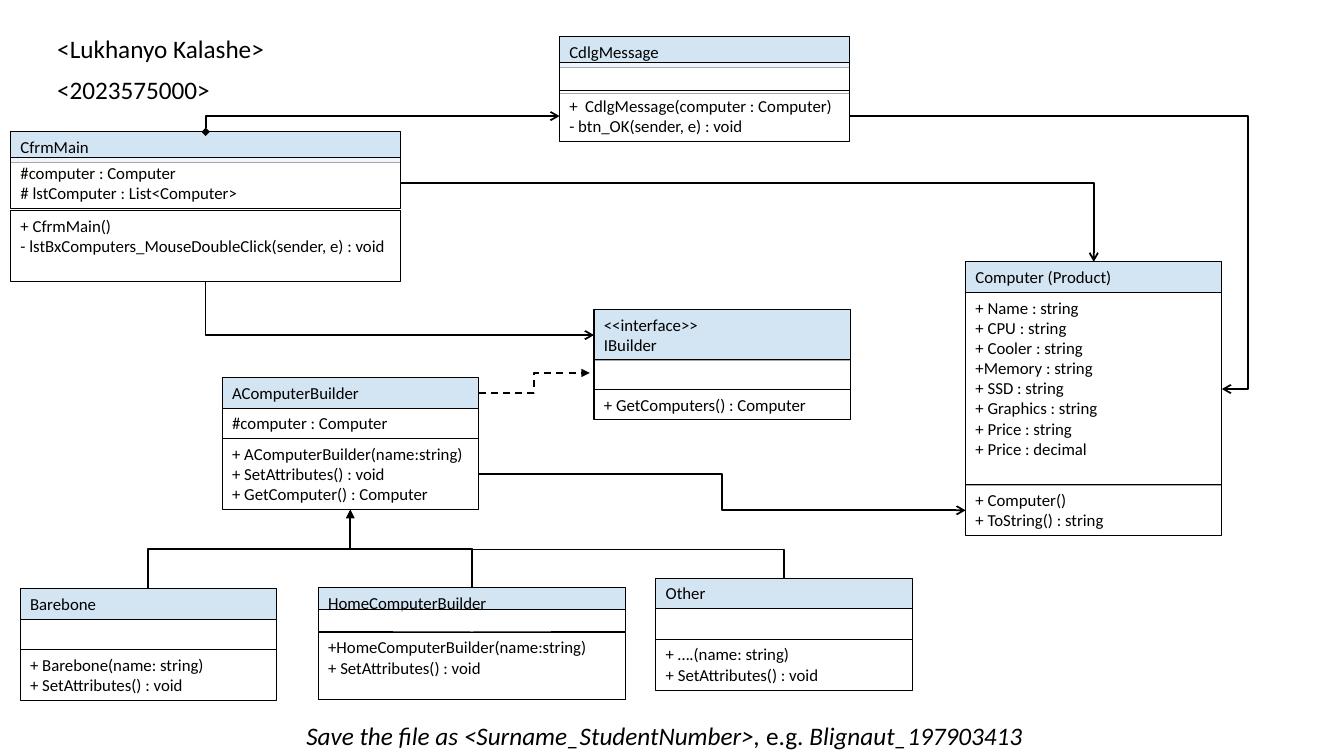
import collections

import pptx
import pptx.util
import pptx.dml.color
import pptx.enum.dml
import pptx.enum.shapes
import pptx.enum.text
import pptx.oxml.ns
from lxml import etree

Pt = pptx.util.Pt
qn = pptx.oxml.ns.qn

COLORS = {"ink": "000000", "title": "BDD7EE", "body": "FFFFFF"}
FONT = "Calibri"
ROW1, ROW2, ROW3, ROW9 = 21.8, 36.3, 50.9, 138.2  # box heights by number of text rows

Box = collections.namedtuple("Box", "l t r b cx")


def rgb(name):
    return pptx.dml.color.RGBColor.from_string(COLORS[name])


def write(p, text, size=12, italic=False, color="ink"):
    p.alignment = pptx.enum.text.PP_ALIGN.LEFT
    r = p.add_run()
    r.text = text
    r.font.name = FONT
    r.font.size = Pt(size)
    r.font.italic = italic
    r.font.color.rgb = rgb(color)


def label(s, x, y, w, runs):
    """One line of large text; runs holds (text, italic) pairs."""
    tf = s.shapes.add_textbox(Pt(x), Pt(y), Pt(w), Pt(29.1)).text_frame
    tf.word_wrap = False
    for text, italic in runs:
        write(tf.paragraphs[0], text, size=18, italic=italic)


def compartment(group, x, y, w, h, lines, fill):
    sp = group.shapes.add_shape(pptx.enum.shapes.MSO_SHAPE.RECTANGLE, Pt(x), Pt(y), Pt(w), Pt(h))
    sp.shadow.inherit = False
    sp.fill.solid()
    sp.fill.fore_color.rgb = rgb(fill)
    srgb = sp.fill._xPr.find(".//" + qn("a:srgbClr"))
    etree.SubElement(srgb, qn("a:alpha")).set("val", "66000")
    sp.line.color.rgb = rgb("ink")
    sp.line.width = Pt(0.75)
    tf = sp.text_frame
    tf.word_wrap = True
    tf.vertical_anchor = pptx.enum.text.MSO_ANCHOR.TOP
    for i, line in enumerate(lines):
        write(tf.add_paragraph() if i else tf.paragraphs[0], line)


def uml_class(s, x, y, w, parts):
    """Class box; parts holds (top offset, height, lines) for name, attributes, methods."""
    group = s.shapes.add_group_shape()
    for i, (dy, h, lines) in enumerate(parts):
        compartment(group, x, y + dy, w, h, lines, "body" if i else "title")
    dy, h, _ = parts[-1]
    return Box(x, y, x + w, y + dy + h, x + w / 2)


def elbow(s, start, end, tail="arrow", head=None, vertical=False, bends=2, mid=0.5, dash=False):
    """Bent connector; a vertical one leaves its start up or down, by a quarter turn."""
    (x1, y1), (x2, y2) = start, end
    dx, dy = (y2 - y1, x1 - x2) if vertical else (x2 - x1, y2 - y1)
    cx, cy = (x1 + x2) / 2, (y1 + y2) / 2
    c = s.shapes.add_connector(pptx.enum.shapes.MSO_CONNECTOR.ELBOW,
                               Pt(cx - dx / 2), Pt(cy - dy / 2), Pt(cx + dx / 2), Pt(cy + dy / 2))
    c.line.color.rgb = rgb("ink")
    c.line.width = Pt(1.25)
    if dash:
        c.line.dash_style = pptx.enum.dml.MSO_LINE.DASH
    spPr = c._element.spPr
    if vertical:
        spPr.find(qn("a:xfrm")).set("rot", "5400000")
    geom = spPr.find(qn("a:prstGeom"))
    if bends == 1:
        geom.set("prst", "bentConnector2")
    else:
        gd = etree.SubElement(geom.find(qn("a:avLst")), qn("a:gd"))
        gd.set("name", "adj1")
        gd.set("fmla", f"val {round(mid * 100000)}")
    ln = spPr.find(qn("a:ln"))
    for tag, kind in (("a:headEnd", head), ("a:tailEnd", tail)):
        if kind:
            end_mark = etree.SubElement(ln, qn(tag))
            end_mark.set("type", kind)
            if kind == "arrow":
                end_mark.set("w", "med")
    etree.SubElement(spPr, qn("a:effectLst"))


def header_and_footer(s):
    label(s, 33.8, 20.2, 164.2, [("<Lukhanyo Kalashe>", False)])
    label(s, 33.8, 49.7, 124.6, [("<2023575000>", False)])
    label(s, 211.7, 511.2, 531.4, [("Save the file as <Surname_StudentNumber>, ", True),
                                   ("e.g. ", False), ("Blignaut_197903413", True)])


def classes(s):
    setter = "+ SetAttributes() : void"
    second, third = ROW1, 2 * ROW1
    return {
        "builder": uml_class(s, 424.3, 221.2, 183.1, [
            (0, ROW2, ["<<interface>>", "IBuilder"]),
            (35.3, ROW1, []),
            (57, ROW1, ["+ GetComputers() : Computer"])]),
        "other": uml_class(s, 468.4, 413, 183.1, [
            (0, ROW1, ["Other"]),
            (second, ROW1, []),
            (third, ROW2, ["+ ….(name: string)", setter])]),
        "barebone": uml_class(s, 14.4, 420.4, 183.1, [
            (0, ROW1, ["Barebone"]),
            (second, ROW1, []),
            (third, ROW2, ["+ Barebone(name: string)", setter])]),
        "home": uml_class(s, 227.3, 419.5, 219.6, [
            (0, 16, ["HomeComputerBuilder"]),
            (16, 16, []),
            (32, 48, ["+HomeComputerBuilder(name:string)", setter])]),
        "abstract": uml_class(s, 158.7, 269.7, 183.1, [
            (0, ROW1, ["AComputerBuilder"]),
            (second, ROW1, ["#computer : Computer"]),
            (third, ROW3, ["+ AComputerBuilder(name:string)", setter,
                           "+ GetComputer() : Computer"])]),
        "product": uml_class(s, 689.7, 187, 183.1, [
            (0, ROW1, ["Computer (Product)"]),
            (second, ROW9, ["+ Name : string", "+ CPU : string", "+ Cooler : string",
                            "+Memory : string", "+ SSD : string", "+ Graphics : string",
                            "+ Price : string", "+ Price : decimal"]),
            (159.4, ROW2, ["+ Computer()", "+ ToString() : string"])]),
        "main": uml_class(s, 7.5, 94.2, 278.8, [
            (0, ROW1, ["CfrmMain"]),
            (18.4, ROW2, ["#computer : Computer", "# lstComputer : List<Computer>"]),
            (56.2, ROW3, ["+ CfrmMain()",
                          "- lstBxComputers_MouseDoubleClick(sender, e) : void"])]),
        "dialog": uml_class(s, 399.6, 26.3, 207.5, [
            (0, ROW1, ["CdlgMessage"]),
            (18.4, ROW1, []),
            (38.5, ROW2, ["+  CdlgMessage(computer : Computer)",
                          "- btn_OK(sender, e) : void"])]),
    }


def relations(s, c):
    base, product, main, dialog = c["abstract"], c["product"], c["main"], c["dialog"]
    elbow(s, (base.r, base.t + ROW1 / 2), (c["builder"].l - 3, 266.4), tail="triangle", dash=True)
    for name, mid in (("barebone", 0.5), ("home", 0.5), ("other", 0.42)):
        elbow(s, (c[name].cx, c[name].t), (base.cx, base.b), tail="triangle",
              vertical=True, mid=mid)
    elbow(s, (base.r, base.b - ROW3 / 2), (product.l, product.b - ROW2 / 2))
    elbow(s, (main.r, 130.8), (product.cx, product.t), bends=1)
    elbow(s, (main.cx, main.b), (c["builder"].l, 239.3), vertical=True, bends=1)
    dialog_y = dialog.b - ROW2 / 2
    elbow(s, (main.cx, main.t), (dialog.l, dialog_y), head="diamond", vertical=True, bends=1)
    elbow(s, (dialog.r, dialog_y), (product.r, product.t + ROW1 + ROW9 / 2), mid=1.07)


def main():
    prs = pptx.Presentation()
    prs.slide_width, prs.slide_height = Pt(960), Pt(540)
    s = prs.slides.add_slide(prs.slide_layouts[6])
    header_and_footer(s)
    relations(s, classes(s))
    prs.save("out.pptx")


if __name__ == "__main__":
    main()
